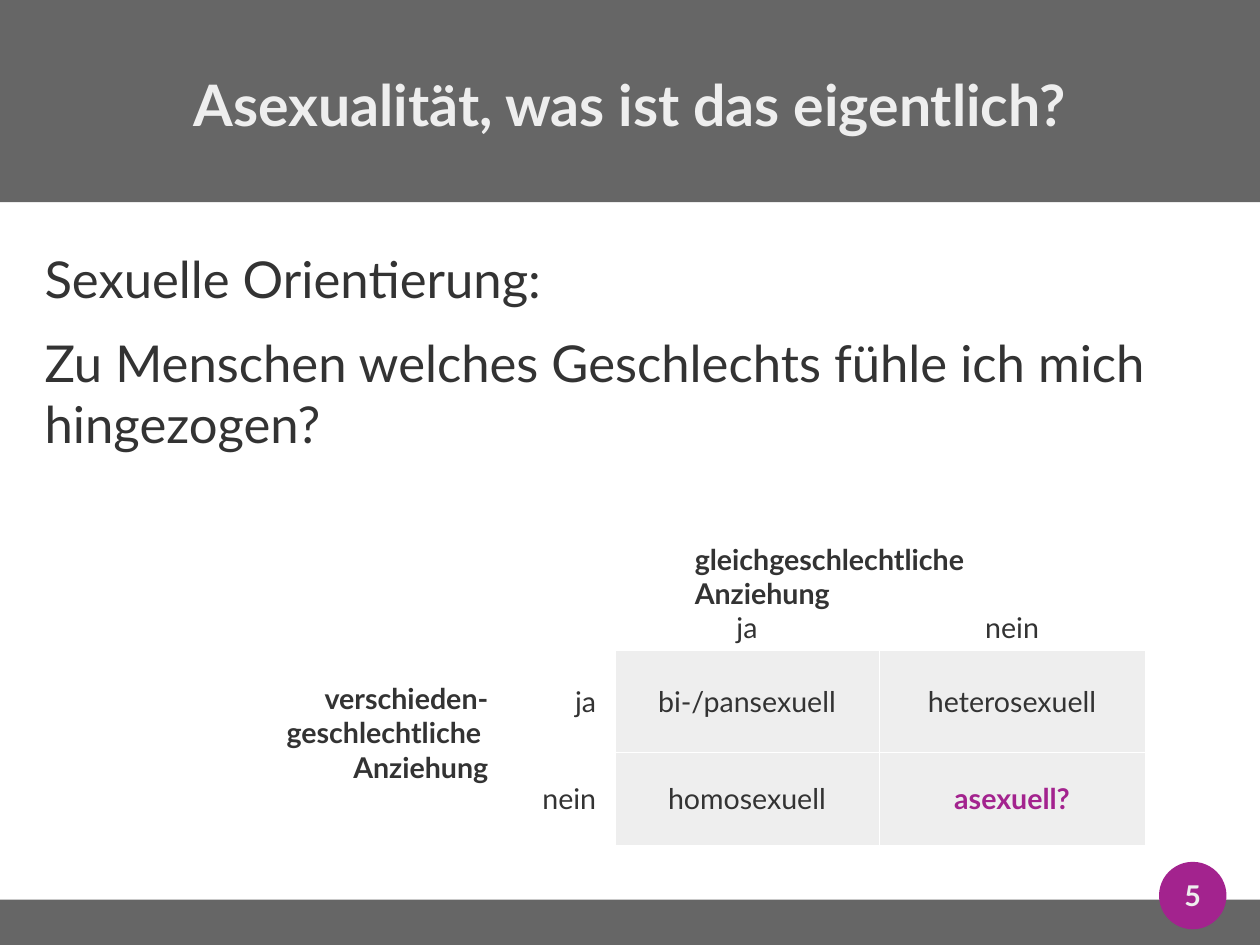
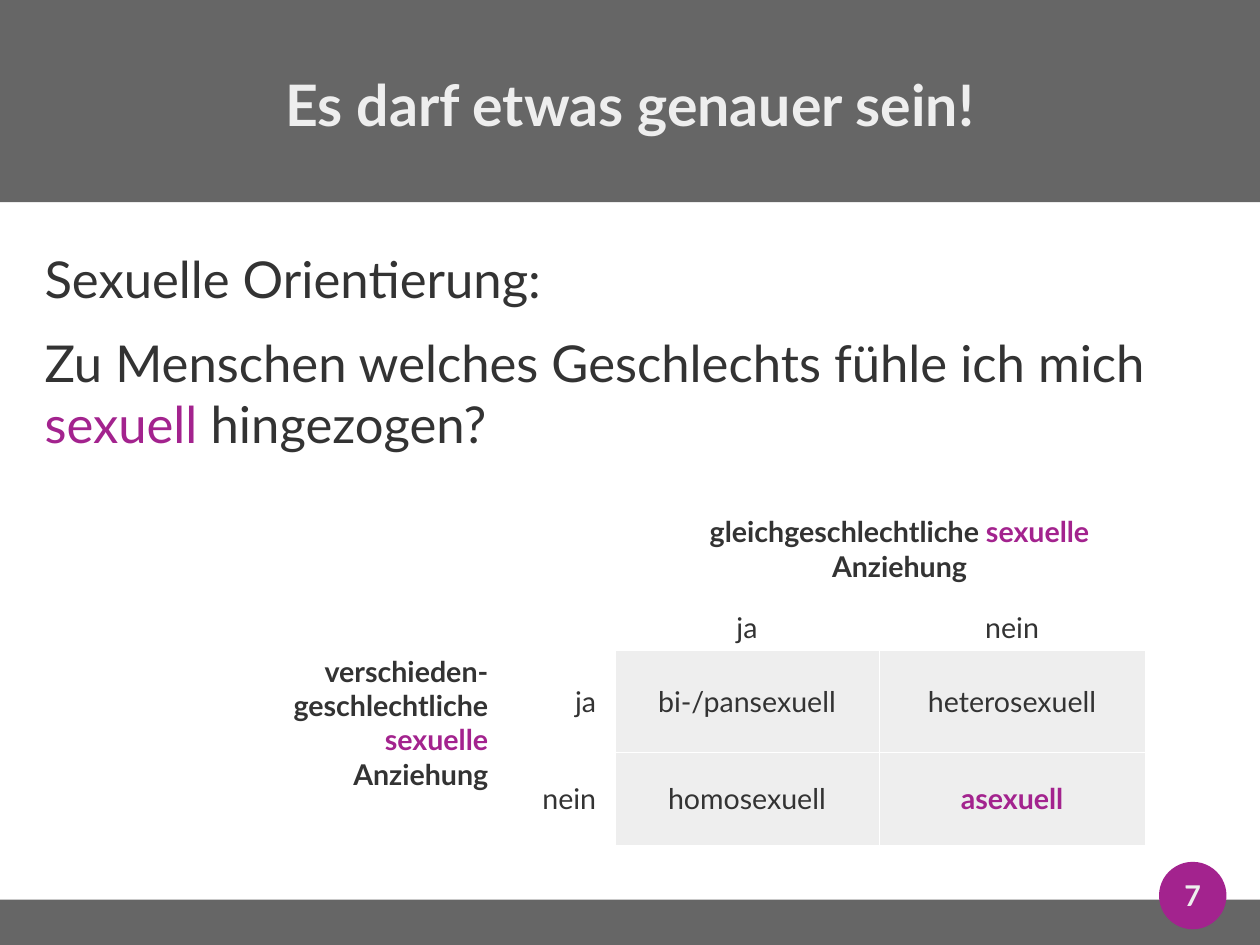
"""Two slides on sexual orientation, each with a two-by-two attraction grid."""
from lxml.etree import SubElement
from pptx import Presentation
from pptx.dml.color import RGBColor
from pptx.enum.shapes import MSO_SHAPE as Shape
from pptx.enum.text import MSO_ANCHOR as Anchor, PP_ALIGN as Align
from pptx.oxml.ns import qn
from pptx.util import Inches, Pt

COLOURS = {"band": "666666", "accent": "A3238E", "text": "333333", "light": "EEEEEE", "rule": "FFFFFF"}
FONT = "Lato"
WIDTH, HEIGHT = 28 / 2.54, 21 / 2.54
BANDS = [
    (Shape.RECTANGLE, (0, 7.87, WIDTH, HEIGHT - 7.87), "band"),
    (Shape.RECTANGLE, (0, 0, WIDTH, 1.77), "band"),
    (Shape.OVAL, (10.14, 7.54, 0.59, 0.59), "accent"),
]
COLUMN_WIDTHS = [1.6, 2.31, 2.33]
ROW_HEIGHTS = [0.89, 0.89, 0.81]
SLIDES = [
    {
        "number": "5",
        "title": "Asexualität, was ist das eigentlich?",
        "question": "Zu Menschen welches Geschlechts fühle ich mich hingezogen?",
        "across": ["gleichgeschlechtliche Anziehung"],
        "across_place": (5.98, 4.69, 3.78, 0.78),
        "across_align": Align.LEFT,
        "down": ["verschieden-", "geschlechtliche ", "Anziehung"],
        "down_place": (2.24, 5.91, 2.13, 1.46),
        "neither": "*asexuell?*",
    },
    {
        "number": "7",
        "title": "Es darf etwas genauer sein!",
        "question": "Zu Menschen welches Geschlechts fühle ich mich *sexuell* hingezogen?",
        "across": ["gleichgeschlechtliche *sexuelle* Anziehung"],
        "across_place": (5.98, 4.45, 3.78, 0.9),
        "across_align": Align.CENTER,
        "down": ["verschieden-", "geschlechtliche", "*sexuelle*", "Anziehung"],
        "down_place": (2.24, 5.67, 2.13, 1.8),
        "neither": "*asexuell*",
    },
]


def write(frame, lines, size, align, bold=False, colour="text", after=0):
    """Fill a text frame; parts between asterisks take the accent colour."""
    for index, line in enumerate(lines):
        paragraph = frame.paragraphs[0] if index == 0 else frame.add_paragraph()
        paragraph.alignment = align
        paragraph.space_after = Pt(after)
        paragraph.font.name = FONT
        paragraph.font.size = Pt(size)
        paragraph.font.bold = bold
        paragraph.font.color.rgb = RGBColor.from_string(COLOURS[colour])
        for part, words in enumerate(line.split("*")):
            if words:
                run = paragraph.add_run()
                run.text = words
                if part % 2:
                    run.font.color.rgb = RGBColor.from_string(COLOURS["accent"])


def add_text(slide, place, lines, size, align, inset=True, anchor=Anchor.TOP, **style):
    """Add a wrapping text box, with or without the default insets."""
    frame = slide.shapes.add_textbox(*map(Inches, place)).text_frame
    frame.word_wrap = True
    frame.vertical_anchor = anchor
    if not inset:
        frame.margin_left = frame.margin_right = frame.margin_top = frame.margin_bottom = 0
    write(frame, lines, size, align, **style)


deck = Presentation()
deck.slide_width, deck.slide_height = Inches(WIDTH), Inches(HEIGHT)

for content in SLIDES:
    slide = deck.slides.add_slide(deck.slide_layouts[6])

    for outline, place, colour in BANDS:
        band = slide.shapes.add_shape(outline, *map(Inches, place))
        band.shadow.inherit = False
        band.fill.solid()
        band.fill.fore_color.rgb = RGBColor.from_string(COLOURS[colour])
        band.line.fill.background()
        if outline == Shape.OVAL:
            badge = band.text_frame
            badge.margin_left = badge.margin_right = badge.margin_top = badge.margin_bottom = 0
            badge.vertical_anchor = Anchor.MIDDLE
            write(badge, [content["number"]], 18, Align.CENTER, bold=True, colour="light")

    add_text(slide, (0.39, 0.08, 10.24, 1.65), [content["title"]], 36, Align.CENTER,
             inset=False, anchor=Anchor.MIDDLE, bold=True, colour="light")
    add_text(slide, (0.39, 2.17, 10.24, 5.51), ["Sexuelle Orientierung:", content["question"]], 32,
             Align.LEFT, inset=False, after=14.1)

    grid_place = (3.78, 4.8, sum(COLUMN_WIDTHS), sum(ROW_HEIGHTS))
    grid = slide.shapes.add_table(3, 3, *map(Inches, grid_place)).table
    grid.first_row = grid.horz_banding = False
    for column, width in zip(grid.columns, COLUMN_WIDTHS):
        column.width = Inches(width)
    for row, height in zip(grid.rows, ROW_HEIGHTS):
        row.height = Inches(height)

    answers = [
        ["", "ja", "nein"],
        ["ja ", "bi-/pansexuell", "heterosexuell"],
        ["nein ", "homosexuell", content["neither"]],
    ]
    for r, answer_row in enumerate(answers):
        for c, answer in enumerate(answer_row):
            cell = grid.cell(r, c)
            for side in ("a:lnL", "a:lnR", "a:lnT", "a:lnB"):
                border = SubElement(cell._tc.get_or_add_tcPr(), qn(side), w=str(Pt(0.06)))
                SubElement(SubElement(border, qn("a:solidFill")), qn("a:srgbClr"), val=COLOURS["rule"])
            if r and c:
                cell.fill.solid()
                cell.fill.fore_color.rgb = RGBColor.from_string(COLOURS["light"])
            else:
                cell.fill.background()
            cell.vertical_anchor = Anchor.MIDDLE if r else Anchor.BOTTOM
            write(cell.text_frame, [answer], 18, Align.CENTER if c else Align.RIGHT, bold="*" in answer)

    add_text(slide, content["across_place"], content["across"], 18, content["across_align"], bold=True)
    add_text(slide, content["down_place"], content["down"], 18, Align.RIGHT, bold=True)

deck.save("out.pptx")
